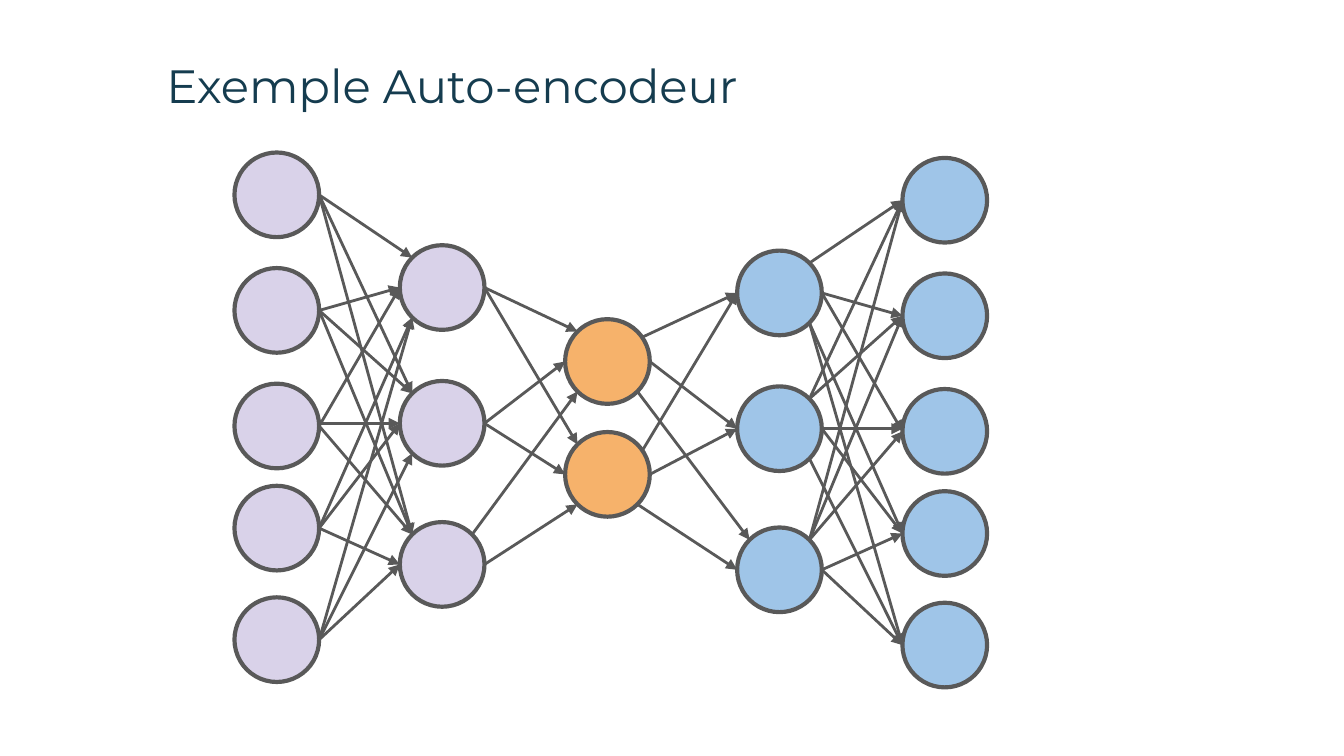
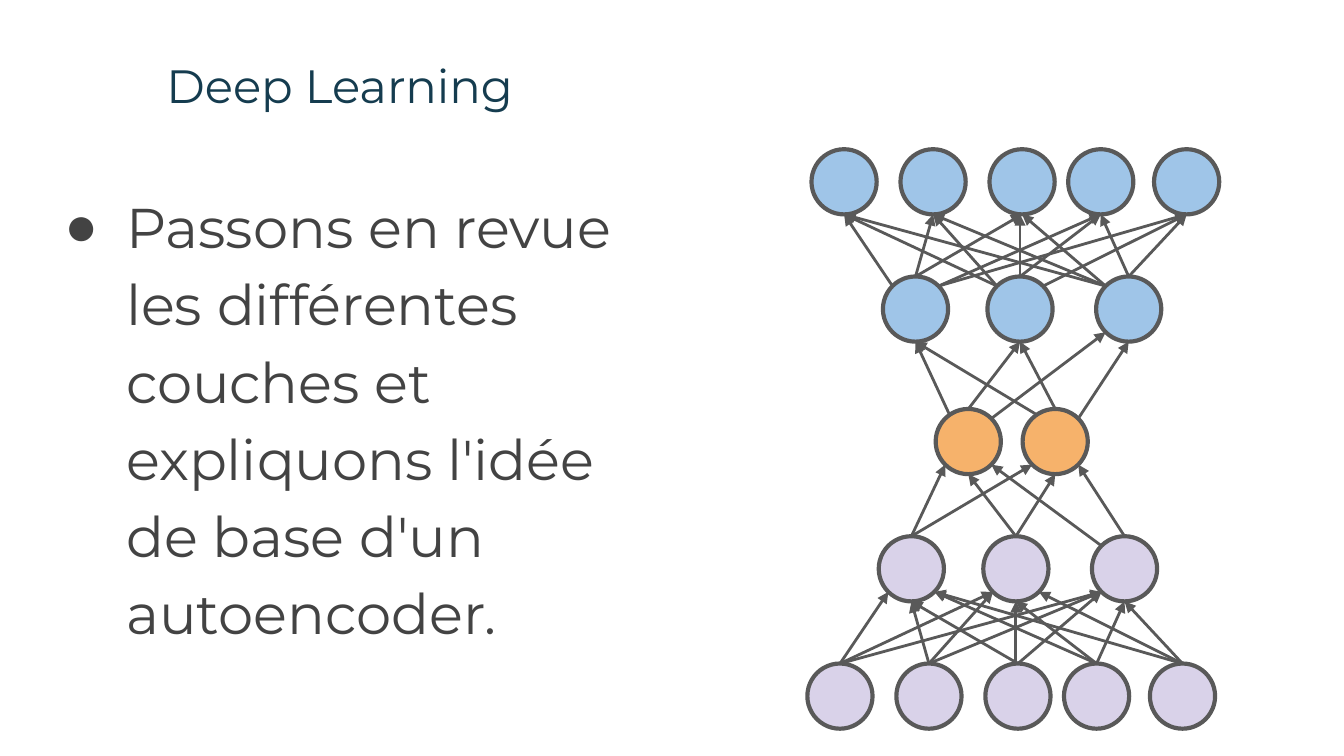
from math import sqrt

from lxml.etree import SubElement
from pptx import Presentation
from pptx.dml.color import RGBColor
from pptx.enum.shapes import MSO_CONNECTOR, MSO_SHAPE
from pptx.enum.text import MSO_ANCHOR
from pptx.oxml.ns import qn
from pptx.util import Inches, Pt

FONT = "Montserrat"
BULLET_FONT = "Arial"
TITLE_COLOUR = "153C4F"
BODY_COLOUR = "434343"
OUTLINE = "595959"
LILAC, ORANGE, BLUE = "D9D2E9", "F6B26B", "9FC5E8"

# The network in its own axes, in inches at scale 1:
# "along" follows the flow of data, "across" runs through a layer.
DIAMETER = 0.63
INPUTS = [0, 0.86, 1.72, 2.48, 3.31]
HIDDEN = [0.69, 1.7, 2.75]
CODE = [1.24, 2.08]
DECODER_SHIFT = 0.04
LAYERS = [
    (0, INPUTS, LILAC),
    (1.23, HIDDEN, LILAC),
    (2.46, CODE, ORANGE),
    (3.74, [across + DECODER_SHIFT for across in HIDDEN], BLUE),
    (4.97, [across + DECODER_SHIFT for across in INPUTS], BLUE),
]

# (outer node, inner node, outer side, inner side); side 0 is the point
# facing the other layer, -1 and 1 are the diagonal points beside it.
OUTER_LINKS = [
    (0, 0, 0, -1), (0, 1, 0, -1), (0, 2, 0, -1),
    (1, 0, 0, 0), (1, 1, 0, -1), (1, 2, 0, -1),
    (2, 0, 0, 0), (2, 1, 0, 0), (2, 2, 0, -1),
    (3, 0, 0, 1), (3, 1, 0, 0), (3, 2, 0, 0),
    (4, 0, 0, 1), (4, 1, 0, 1), (4, 2, 0, 0),
]
INNER_LINKS = [
    (0, 0, 0, -1), (0, 1, 0, -1),
    (1, 0, 0, 0), (1, 1, 0, 0),
    (2, 0, -1, 1), (2, 1, 0, 1),
]
# (outer layer, inner layer, links): encoder first, then its mirror image
STAGES = [
    (0, 1, OUTER_LINKS),
    (1, 2, INNER_LINKS),
    (3, 2, INNER_LINKS),
    (4, 3, OUTER_LINKS),
]

# (title, left and top of the first node's centre, scale, flows upward)
SLIDES = [
    ("Exemple Auto-encodeur", 2.06, 1.45, 1, False),
    ("Deep Learning", 6.25, 5.18, 0.77, True),
]


def add_text(page, text, left, top, width, height, size, colour):
    box = page.shapes.add_textbox(Inches(left), Inches(top), Inches(width), Inches(height))
    frame = box.text_frame
    frame.word_wrap = True
    frame.margin_left = frame.margin_right = Inches(0.1)
    frame.margin_top = frame.margin_bottom = Inches(0.1)
    span = frame.paragraphs[0].add_run()
    span.text = text
    span.font.name = FONT
    span.font.size = Pt(size)
    span.font.color.rgb = RGBColor.from_string(colour)
    return frame


def contact_point(layer, node, side, facing):
    """Along and across of a point on a node's rim; facing is 1 or -1."""
    along, positions, _ = LAYERS[layer]
    radius = DIAMETER / 2
    if side == 0:
        return along + facing * radius, positions[node]
    reach = radius / sqrt(2)
    return along + facing * reach, positions[node] + side * reach


deck = Presentation()
deck.slide_width = Inches(10)
deck.slide_height = deck.slide_width * 9 // 16

for title, left, top, scale, upward in SLIDES:
    page = deck.slides.add_slide(deck.slide_layouts[6])
    frame = add_text(page, title, 1.14, 0.32, 8.52, 0.63, 25, TITLE_COLOUR)
    frame.vertical_anchor = MSO_ANCHOR.MIDDLE

    # Nodes
    size = DIAMETER * scale
    for along, positions, fill in LAYERS:
        for across in positions:
            if upward:
                x, y = left + across * scale, top - along * scale
            else:
                x, y = left + along * scale, top + across * scale
            node = page.shapes.add_shape(
                MSO_SHAPE.OVAL, Inches(x - size / 2), Inches(y - size / 2),
                Inches(size), Inches(size))
            node.shadow.inherit = False
            node.fill.solid()
            node.fill.fore_color.rgb = RGBColor.from_string(fill)
            node.line.color.rgb = RGBColor.from_string(OUTLINE)
            node.line.width = Pt(2.25)

    # Arrows
    for outer, inner, links in STAGES:
        facing = 1 if outer < inner else -1
        for outer_node, inner_node, outer_side, inner_side in links:
            start = contact_point(outer, outer_node, outer_side, facing)
            end = contact_point(inner, inner_node, inner_side, -facing)
            if (outer_node, inner_node) == (2, 1) and links is OUTER_LINKS:
                start = start[0], end[1]  # the middle arrow runs straight
            if outer == 3 and outer_node == 0:
                end = [value + DECODER_SHIFT for value in end]
            if facing == -1:
                start, end = end, start
            ends = []
            for along, across in (start, end):
                if upward:
                    ends += [left + across * scale, top - along * scale]
                else:
                    ends += [left + along * scale, top + across * scale]
            arrow = page.shapes.add_connector(
                MSO_CONNECTOR.STRAIGHT, *[Inches(value) for value in ends])
            arrow.line.color.rgb = RGBColor.from_string(OUTLINE)
            arrow.line.width = Pt(1.5)
            SubElement(arrow.line._get_or_add_ln(), qn("a:tailEnd"), type="triangle")
            SubElement(arrow._element.spPr, qn("a:effectLst"))

# Bulleted text beside the second network
frame = add_text(
    page,
    "Passons en revue les différentes couches et expliquons l'idée de base d'un autoencoder.",
    0.34, 1.26, 4.82, 3.74, 30, BODY_COLOUR)
para = frame.paragraphs[0]
para.line_spacing = 1.15
properties = para._p.get_or_add_pPr()
properties.set("marL", str(Inches(0.5)))
properties.set("indent", str(Inches(-0.46)))
bullet_colour = SubElement(properties, qn("a:buClr"))
SubElement(bullet_colour, qn("a:srgbClr"), val=BODY_COLOUR)
SubElement(properties, qn("a:buFont"), typeface=BULLET_FONT)
SubElement(properties, qn("a:buChar"), char="●")

deck.save("out.pptx")
